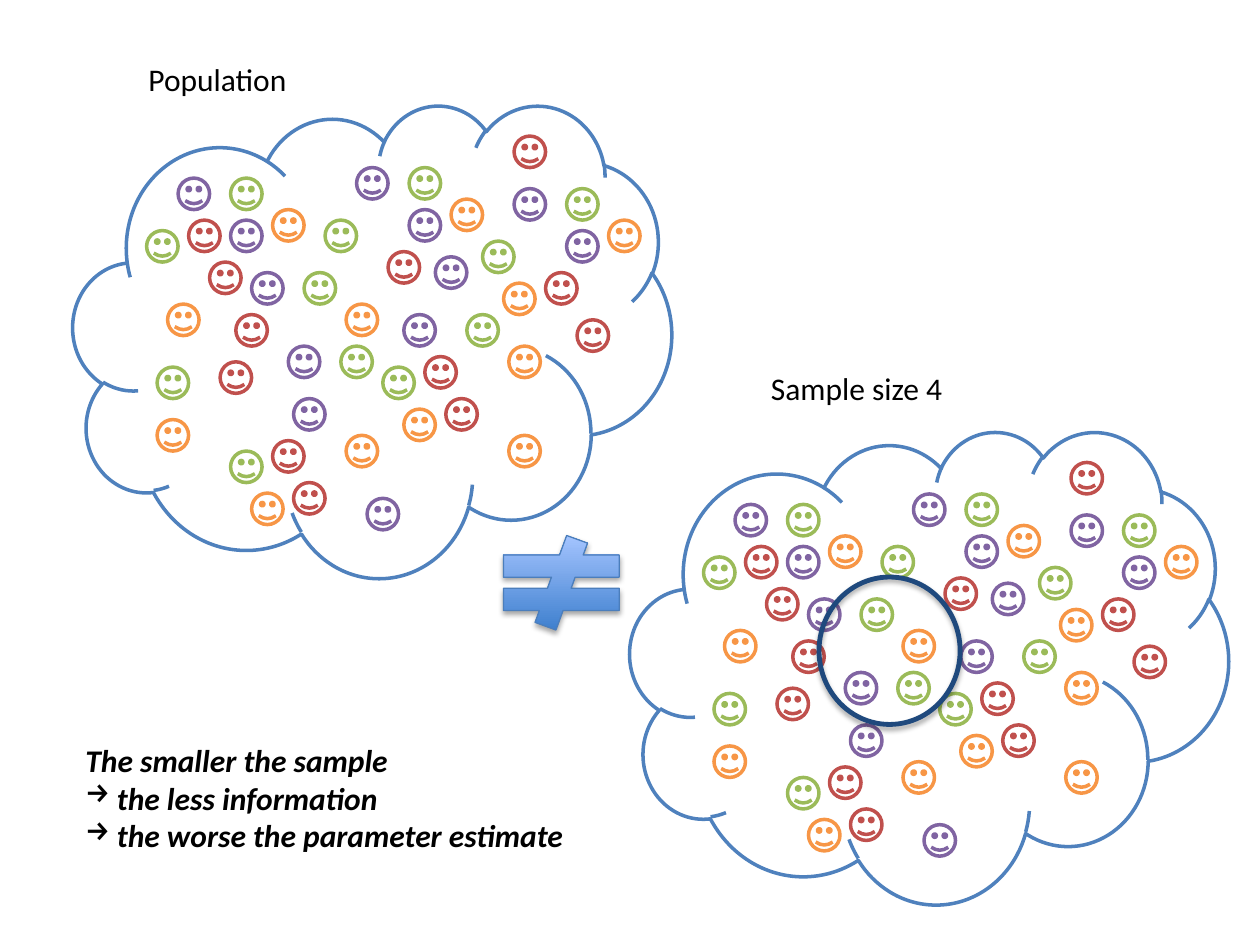
import lxml.etree
import pptx
import pptx.dml.color
import pptx.enum.shapes
import pptx.enum.text
import pptx.oxml.ns
import pptx.util

Inches = pptx.util.Inches
Pt = pptx.util.Pt
RGBColor = pptx.dml.color.RGBColor
SHAPE = pptx.enum.shapes.MSO_SHAPE
qn = pptx.oxml.ns.qn

BLACK = RGBColor(0, 0, 0)
WHITE = RGBColor(255, 255, 255)
BLUE = RGBColor(0x4F, 0x81, 0xBD)
NAVY = RGBColor(0x1F, 0x49, 0x7D)
EDGE = RGBColor(0x4B, 0x7E, 0xBC)
DEEP = RGBColor(0x3F, 0x80, 0xCE)
PALE = RGBColor(0xA4, 0xC4, 0xFF)
RED = RGBColor(0xC0, 0x50, 0x4D)
GREEN = RGBColor(0x9B, 0xBB, 0x59)
PURPLE = RGBColor(0x80, 0x64, 0xA2)
ORANGE = RGBColor(0xF7, 0x96, 0x46)

GRID = 24
FACE = 0.25
CLOUD = (4.75, 3.75)
FACES = [
    (RED, WHITE, [(22, 22), (26, 30), (96, 41), (60, 28), (31, 40), (28, 49),
                  (38, 64), (42, 72), (67, 48), (71, 56), (84, 6), (90, 32)]),
    (GREEN, WHITE, [(30, 14), (14, 24), (64, 12), (48, 22), (44, 32), (16, 50),
                    (51, 46), (30, 66), (75, 40), (59, 50), (94, 16), (78, 26)]),
    (PURPLE, WHITE, [(20, 14), (30, 22), (54, 12), (64, 20), (34, 32), (41, 46),
                     (42, 56), (56, 75), (69, 29), (63, 40), (84, 16), (94, 24)]),
    (ORANGE, None, [(18, 38), (38, 20), (83, 63), (72, 18), (16, 60), (52, 38),
                    (34, 74), (52, 63), (63, 58), (83, 46), (82, 34), (102, 22)]),
]


def add_shape(slide, kind, box, line, width, fill=None):
    """Add an outlined preset shape, hollow unless a fill is given."""
    shape = slide.shapes.add_shape(kind, *map(Inches, box))
    shape.shadow.inherit = False
    shape.line.color.rgb = line
    shape.line.width = Pt(width)
    if fill is None:
        shape.fill.background()
    else:
        shape.fill.solid()
        shape.fill.fore_color.rgb = fill
    return shape


def add_shadow(shape):
    """Give a shape a soft shadow straight below it."""
    effects = shape._element.spPr.find(qn("a:effectLst"))
    outer = lxml.etree.SubElement(
        effects, qn("a:outerShdw"), blurRad=str(Pt(3.1)), dist=str(Pt(1.8)),
        dir="5400000", rotWithShape="0")
    color = lxml.etree.SubElement(outer, qn("a:srgbClr"), val=str(BLACK))
    lxml.etree.SubElement(color, qn("a:alpha"), val="35000")


def add_text(slide, box, lines, strong=False):
    """Add a text box with one paragraph per line and return its paragraphs."""
    frame = slide.shapes.add_textbox(*map(Inches, box)).text_frame
    frame.word_wrap = True
    frame.auto_size = pptx.enum.text.MSO_AUTO_SIZE.SHAPE_TO_FIT_TEXT
    frame.text = "\n".join(lines)
    for para in frame.paragraphs:
        para.font.name = "Calibri"
        para.font.size = Pt(18)
        para.font.color.rgb = BLACK
        if strong:
            para.font.bold = para.font.italic = True
    return frame.paragraphs


def add_crowd(slide, left, top):
    """Draw a cloud filled with coloured faces."""
    add_shape(slide, SHAPE.CLOUD, (left, top, *CLOUD), BLUE, 2, WHITE)
    for line, fill, spots in FACES:
        for col, row in spots:
            box = (left + col / GRID, top + row / GRID, FACE, FACE)
            add_shape(slide, SHAPE.SMILEY_FACE, box, line, 2, fill)


def add_sign(slide, box):
    """Draw the shaded not-equal sign between the clouds."""
    sign = add_shape(slide, SHAPE.MATH_NOT_EQUAL, box, EDGE, 0.75)
    sign.fill.gradient()
    sign.fill.gradient_angle = 90
    for stop, color, place in zip(sign.fill.gradient_stops, (DEEP, PALE), (0, 1)):
        stop.color.rgb = color
        stop.position = place
    add_shadow(sign)


def add_lesson(slide, box):
    """Write the conclusion with arrow bullets under its first line."""
    paras = add_text(slide, box, ["The smaller the sample", "the less information",
                                  "the worse the parameter estimate"], True)
    for para in paras[1:]:
        props = para._p.get_or_add_pPr()
        props.set("marL", str(Inches(0.25)))
        props.set("indent", str(Inches(-0.25)))
        bullet = lxml.etree.Element(qn("a:buChar"), char="→")
        props.insert(0, bullet)


def main():
    """Build the slide and save it."""
    deck = pptx.Presentation()
    deck.slide_width, deck.slide_height = Inches(10), Inches(7.5)
    slide = deck.slides.add_slide(deck.slide_layouts[6])
    add_crowd(slide, 0.58, 0.83)
    add_text(slide, (1.08, 0.43, 2.96, 0.4), ["Population"])
    add_crowd(slide, 5, 3.42)
    add_text(slide, (6.02, 2.88, 2.96, 0.4), ["Sample size 4"])
    add_shadow(add_shape(slide, SHAPE.OVAL, (6.5, 4.58, 1.12, 1.17), NAVY, 2.75))
    add_sign(slide, (3.83, 4.25, 1.25, 0.75))
    add_lesson(slide, (0.58, 5.83, 4.5, 1.01))
    deck.save("out.pptx")


if __name__ == "__main__":
    main()
